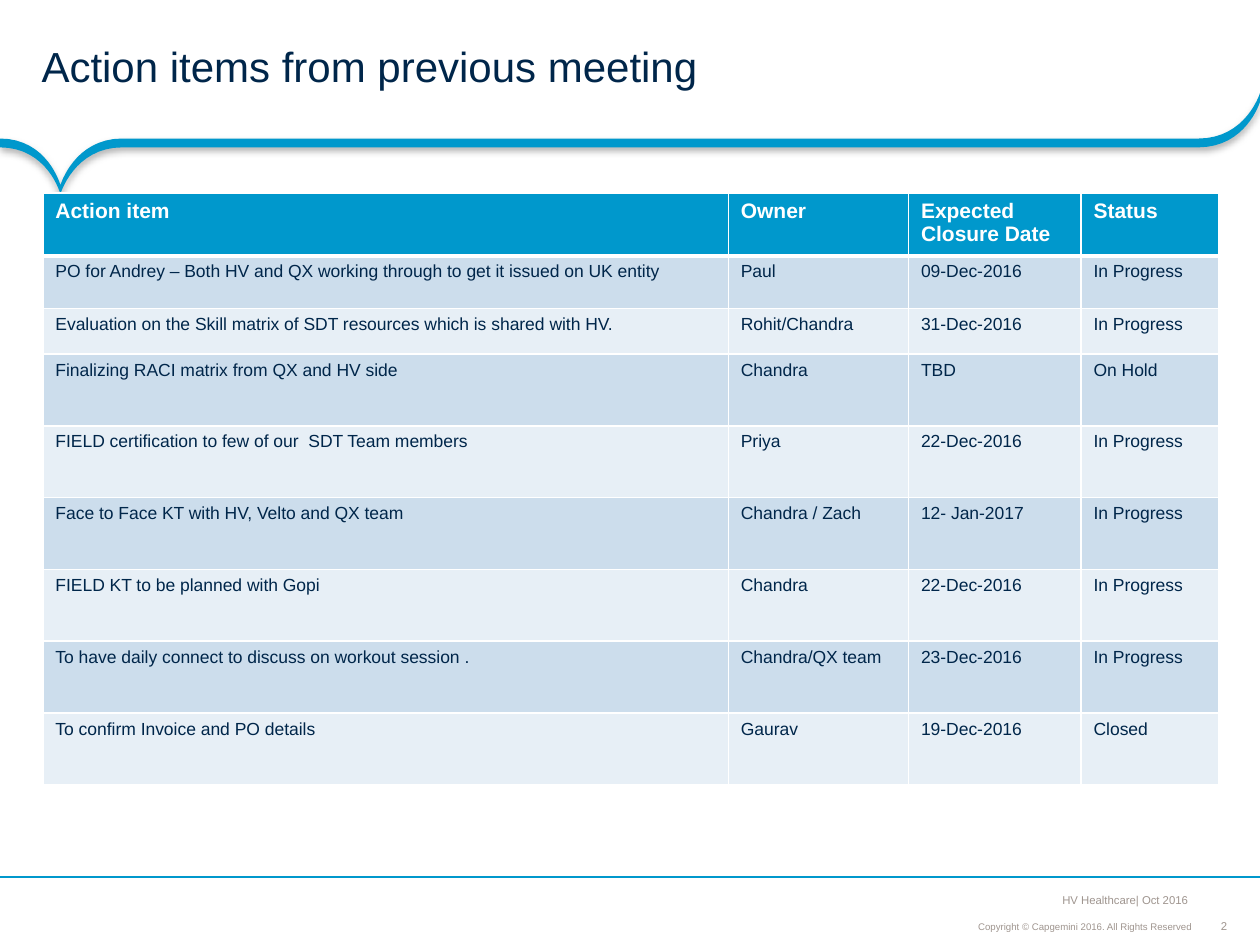
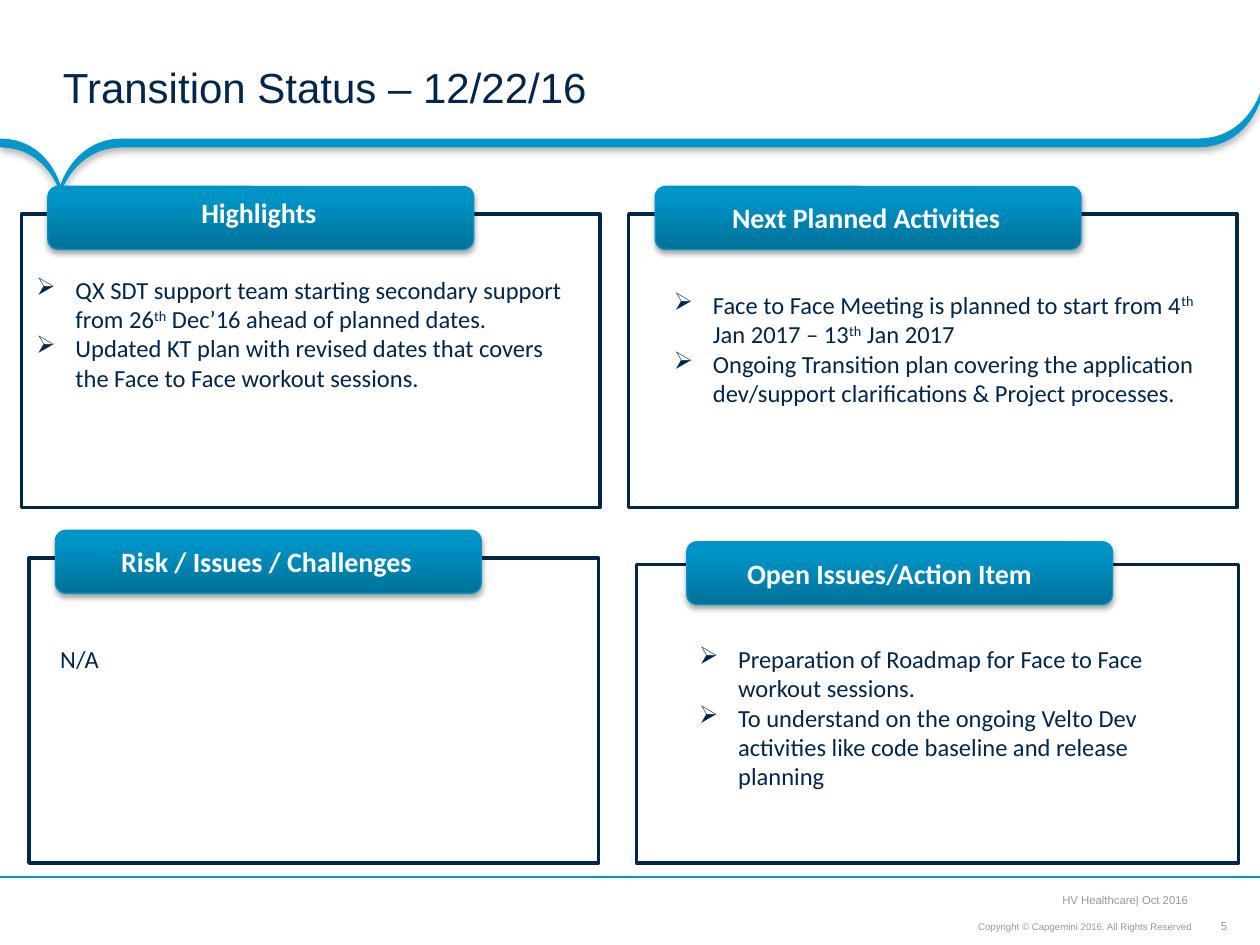
from dataclasses import dataclass
from typing import NamedTuple

from pptx import Presentation, oxml, util as u
from pptx.dml import color
from pptx.enum import shapes, text
from pptx.oxml import ns


# ---- Theme ----
@dataclass(frozen=True)
class Theme:
    navy: str = "00264A"
    blue: str = "0098CC"
    tab_line: str = "0095C8"
    tab_stops: tuple = ((0, "007198"), (80, "0093C6"), (100, "0094C7"))
    grey: str = "9F958F"
    white: str = "FFFFFF"
    bands: tuple = ("CCDDEC", "E7EFF6")
    sans: str = "Arial"
    panel_font: str = "Calibri"
    title_size: float = 24
    label_size: float = 16
    body_size: float = 14
    head_size: float = 12
    cell_size: float = 10
    footer_size: float = 6.5
    copyright_size: float = 5.5


T = Theme()


class Box(NamedTuple):
    x: float
    y: float
    w: float
    h: float

    def emu(self) -> list:
        return [u.Inches(v) for v in self]


class Style(NamedTuple):
    size: float
    color: str
    font: str = T.sans
    bold: bool = False


class Shadow(NamedTuple):
    alpha: int
    blur: float
    dist: float


class Panel(NamedTuple):
    frame: Box
    tab: tuple
    label: str
    label_box: Box
    body_box: Box
    items: tuple
    bulleted: bool = True


class ActionItem(NamedTuple):
    task: str
    owner: str
    due: str
    status: str


TITLE = Style(T.title_size, T.navy)
LABEL = Style(T.label_size, T.white, T.panel_font, True)
BODY = Style(T.body_size, T.navy, T.panel_font)
HEAD = Style(T.head_size, T.white, bold=True)
CELL = Style(T.cell_size, T.navy)
FOOTER = Style(T.footer_size, T.grey)
COPYRIGHT = Style(T.copyright_size, T.grey)
TAB_W, TAB_H, INDENT = 3.38, 0.5, 0.31
FOOT_INS = (0.04,) * 4
PLAIN_INS = (0.1, 0.05, 0.1, 0.05)


# ---- Helpers ----
def rgb(value: str) -> color.RGBColor:
    return color.RGBColor.from_string(value)


def element(xml: str):
    tag, _, rest = xml.partition(" ")
    return oxml.parse_xml(f"<{tag} {ns.nsdecls('a')} {rest}")


def set_attrs(target, values: dict) -> None:
    for name, value in values.items():
        setattr(target, name, value)


def add_run(p, content: str, style: Style, raised: bool = False) -> None:
    r = p.add_run()
    r.text = content
    set_attrs(r.font, {"size": u.Pt(style.size), "name": style.font, "bold": style.bold})
    r.font.color.rgb = rgb(style.color)
    if raised:
        r._r.get_or_add_rPr().set("baseline", "30000")


def add_text(s, box: Box, lines: tuple, style: Style, ins: tuple = PLAIN_INS,
             anchor=text.MSO_ANCHOR.TOP, align=text.PP_ALIGN.LEFT, wrap: bool = True,
             bulleted: bool = False, spacing: float | None = None) -> None:
    """Write one paragraph per line; text between ^ marks is superscript."""
    tf = s.shapes.add_textbox(*box.emu()).text_frame
    sides = ("margin_left", "margin_top", "margin_right", "margin_bottom")
    set_attrs(tf, {"word_wrap": wrap, "vertical_anchor": anchor,
                   **{side: u.Inches(v) for side, v in zip(sides, ins)}})
    for i, line in enumerate(lines):
        p = tf.add_paragraph() if i else tf.paragraphs[0]
        set_attrs(p, {"alignment": align, "line_spacing": spacing})
        if bulleted:
            pPr = p._p.get_or_add_pPr()
            pPr.set("marL", str(u.Inches(INDENT)))
            pPr.set("indent", str(-u.Inches(INDENT)))
            pPr.append(element('a:buChar char="➢"/>'))
        for j, part in enumerate(line.split("^")):
            add_run(p, part, style, raised=j % 2 == 1)


def add_shadow(sp, shadow: Shadow) -> None:
    sp.shadow.inherit = False
    sp._element.spPr.find(ns.qn("a:effectLst")).append(element(
        f'a:outerShdw blurRad="{u.Pt(shadow.blur)}" dist="{u.Pt(shadow.dist)}" '
        f'dir="5400000" rotWithShape="0"><a:srgbClr val="000000">'
        f'<a:alpha val="{shadow.alpha * 1000}"/></a:srgbClr></a:outerShdw>'))


def add_outlined(s, kind, box: Box, line: str, width: float):
    sp = s.shapes.add_shape(kind, *box.emu())
    sp.shadow.inherit = False
    sp.fill.solid()
    sp.fill.fore_color.rgb = rgb(T.white)
    sp.line.color.rgb = rgb(line)
    sp.line.width = u.Pt(width)
    return sp


# ---- Shared slide parts ----
def curve(a: tuple, b: tuple, c: tuple, d: tuple, steps: int = 16) -> list:
    """Points along a cubic curve, without its start."""
    points = []
    for i in range(1, steps + 1):
        t = i / steps
        weights = ((1 - t) ** 3, 3 * t * (1 - t) ** 2, 3 * t * t * (1 - t), t ** 3)
        points.append(tuple(sum(w * q[k] for w, q in zip(weights, (a, b, c, d)))
                            for k in (0, 1)))
    return points


def band_edge(y: float) -> list:
    """One edge of the band, from the left side to the right side."""
    left, tip, flat = (0, y), (0.48, y + 0.37), (0.97, y)
    bend, end = (9.51, y), (10, y - 0.36)
    return [left, *curve(left, (0.38, y), tip, tip),
            *curve(tip, tip, (0.59, y), flat),
            bend, *curve(bend, (9.89, y), end, end)]


def add_band(s) -> None:
    outline = [(u.Inches(x), u.Inches(y))
               for x, y in band_edge(1.1) + band_edge(1.17)[::-1]]
    builder = s.shapes.build_freeform(*outline[0])
    builder.add_line_segments(outline[1:], close=True)
    sp = builder.convert_to_shape()
    sp.fill.solid()
    sp.fill.fore_color.rgb = rgb(T.blue)
    sp.line.fill.background()
    add_shadow(sp, Shadow(31, 4, 2))


def add_base(prs, title: str, title_box: Box, number: int):
    s = prs.slides.add_slide(prs.slide_layouts[6])
    add_band(s)
    right = {"ins": FOOT_INS, "anchor": text.MSO_ANCHOR.BOTTOM,
             "align": text.PP_ALIGN.RIGHT}
    add_text(s, Box(6.81, 7.24, 2.69, 0.2),
             ("Copyright © Capgemini 2016. All Rights Reserved",), COPYRIGHT,
             spacing=0.9, **right)
    add_text(s, Box(7.56, 7.03, 1.91, 0.21), ("HV Healthcare| Oct 2016",), FOOTER, **right)
    add_text(s, Box(9.66, 7.29, 0.11, 0.11), (str(number),), FOOTER, (0,) * 4,
             text.MSO_ANCHOR.MIDDLE, text.PP_ALIGN.CENTER, wrap=False)
    rule = s.shapes.add_connector(shapes.MSO_CONNECTOR.STRAIGHT,
                                  *Box(10, 6.96, 0, 6.96).emu())
    rule.line.color.rgb = rgb(T.blue)
    rule.line.width = u.Pt(0.75)
    rule._element.spPr.append(element("a:effectLst />"))
    add_text(s, title_box, (title,), TITLE, (0.33, 0.04, 0.18, 0.04),
             text.MSO_ANCHOR.MIDDLE, spacing=0.85)
    return s


# ---- Action items table ----
COLUMNS = (5.44, 1.43, 1.37, 1.09)
ROWS = (0.49, 0.42, 0.36) + (0.57,) * 6
HEADINGS = ActionItem("Action item", "Owner", "Expected Closure Date", "Status")
ACTIONS = (
    ActionItem("PO for Andrey – Both HV and QX working through to get it issued on UK entity",
               "Paul", "09-Dec-2016", "In Progress"),
    ActionItem("Evaluation on the Skill matrix of SDT resources which is shared with HV.",
               "Rohit/Chandra", "31-Dec-2016", "In Progress"),
    ActionItem("Finalizing RACI matrix from QX and HV side", "Chandra", "TBD", "On Hold"),
    ActionItem("FIELD certification to few of our  SDT Team members",
               "Priya", "22-Dec-2016", "In Progress"),
    ActionItem("Face to Face KT with HV, Velto and QX team",
               "Chandra / Zach", "12- Jan-2017", "In Progress"),
    ActionItem("FIELD KT to be planned with Gopi", "Chandra", "22-Dec-2016", "In Progress"),
    ActionItem("To have daily connect to discuss on workout session .",
               "Chandra/QX team", "23-Dec-2016", "In Progress"),
    ActionItem("To confirm Invoice and PO details", "Gaurav", "19-Dec-2016", "Closed"),
)


def format_cell(cell, content: str, style: Style, fill: str, bottom: float) -> None:
    add_run(cell.text_frame.paragraphs[0], content, style)
    tcPr = cell._tc.get_or_add_tcPr()
    for side, width in (("L", 1), ("R", 1), ("T", 1), ("B", bottom)):
        tcPr.append(element(
            f'a:ln{side} w="{u.Pt(width)}"><a:solidFill><a:srgbClr val="{T.white}"/>'
            f'</a:solidFill></a:ln{side}>'))
    cell.fill.solid()
    cell.fill.fore_color.rgb = rgb(fill)


def add_actions(prs) -> None:
    s = add_base(prs, "Action items from previous meeting", Box(0, 0, 10, 1.1), 2)
    box = Box(0.34, 1.53, sum(COLUMNS), sum(ROWS))
    table = s.shapes.add_table(len(ROWS), len(COLUMNS), *box.emu()).table
    table.horz_banding = False
    for column, width in zip(table.columns, COLUMNS):
        column.width = u.Inches(width)
    for i, item in enumerate((HEADINGS, *ACTIONS)):
        table.rows[i].height = u.Inches(ROWS[i])
        style, fill, bottom = (CELL, T.bands[(i - 1) % 2], 1) if i else (HEAD, T.blue, 3)
        for j, content in enumerate(item):
            format_cell(table.cell(i, j), content, style, fill, bottom)


# ---- Transition status panels ----
PANELS = (
    Panel(Box(0.17, 1.7, 4.59, 2.33), (0.38, 1.48), "Highlights",
          Box(1.46, 1.5, 1.19, 0.37), Box(0.19, 2.13, 4.52, 1.28),
          ("QX SDT support team starting secondary support from 26^th^ Dec’16 "
           "ahead of planned dates.",
           "Updated KT plan with revised dates that covers the Face to Face "
           "workout sessions.")),
    Panel(Box(4.99, 1.7, 4.83, 2.33), (5.2, 1.48), "Next Planned Activities",
          Box(5.66, 1.54, 2.43, 0.37), Box(5.25, 2.25, 4.57, 1.52),
          ("Face to Face Meeting is planned to start from 4^th^ Jan 2017 – "
           "13^th^ Jan 2017",
           "Ongoing Transition plan covering the application dev/support "
           "clarifications & Project processes.")),
    Panel(Box(0.23, 4.43, 4.52, 2.42), (0.44, 4.21), "Risk / Issues / Challenges",
          Box(0.84, 4.27, 2.55, 0.37), Box(0.38, 5.06, 4.17, 0.58), ("N/A",), False),
    Panel(Box(5.05, 4.48, 4.78, 2.37), (5.45, 4.3), "Open Issues/Action Item",
          Box(5.79, 4.37, 2.54, 0.37), Box(5.45, 5.06, 4.22, 1.5),
          ("Preparation of Roadmap for Face to Face workout sessions.",
           "To understand on the ongoing Velto Dev activities like code baseline "
           "and release planning")),
)


def add_panel(s, panel: Panel) -> None:
    add_outlined(s, shapes.MSO_SHAPE.RECTANGLE, panel.frame, T.navy, 2)
    tab = add_outlined(s, shapes.MSO_SHAPE.ROUNDED_RECTANGLE,
                       Box(*panel.tab, TAB_W, TAB_H), T.tab_line, 0.75)
    tab.fill.gradient()
    tab.fill.gradient_angle = 90
    stops = tab._element.spPr.find(".//" + ns.qn("a:gsLst"))
    stops[:] = [element(f'a:gs pos="{pos * 1000}"><a:srgbClr val="{value}"/></a:gs>')
                for pos, value in T.tab_stops]
    add_shadow(tab, Shadow(35, 3.1, 1.8))
    add_text(s, panel.label_box, (panel.label,), LABEL,
             align=text.PP_ALIGN.CENTER, wrap=False)
    add_text(s, panel.body_box, panel.items, BODY, bulleted=panel.bulleted)


def add_status(prs) -> None:
    s = add_base(prs, "Transition Status – 12/22/16", Box(0.17, 0.17, 10, 1.1), 5)
    for panel in PANELS:
        add_panel(s, panel)


def main() -> None:
    prs = Presentation()
    set_attrs(prs, {"slide_width": u.Inches(10), "slide_height": u.Inches(7.5)})
    add_actions(prs)
    add_status(prs)
    prs.save("out.pptx")


if __name__ == "__main__":
    main()
